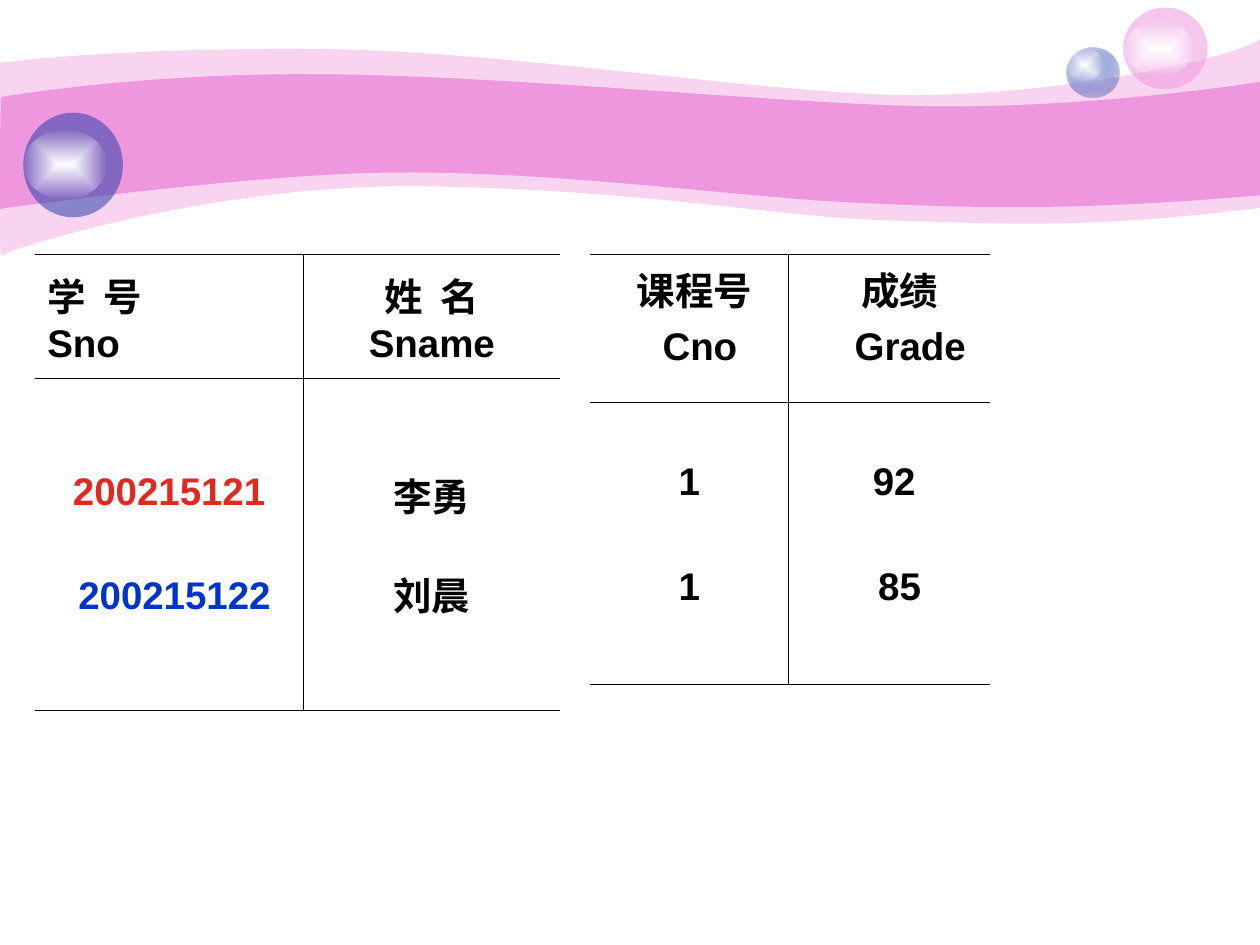
from lxml import etree
from pptx import Presentation
from pptx.dml.color import RGBColor
from pptx.enum.shapes import MSO_SHAPE
from pptx.enum.text import MSO_ANCHOR, PP_ALIGN
from pptx.oxml.ns import qn
from pptx.util import Emu, Inches, Pt

OVAL = MSO_SHAPE.OVAL
LEFT, MID = PP_ALIGN.LEFT, PP_ALIGN.CENTER
TOP, CENTER = MSO_ANCHOR.TOP, MSO_ANCHOR.MIDDLE

# Grid of 100 columns by 75 rows
COLS, ROWS = 100, 75
UNIT = Inches(0.1)
SPACE = 6.1  # width of one space, points
COLOR = {"pink": "EF97DE", "blue": "233DA9", "pale": "C7CEE9", "white": "FFFFFF",
         "ink": "000000", "red": "E02920", "link": "0033CC"}


def grid(n):
    return Emu(round(n * UNIT))


def add(parent, tag, **attrs):
    node = etree.SubElement(parent, qn(tag))
    for key, val in attrs.items():
        node.set(key, str(val))
    return node


def fade(node, alpha):
    add(node, "a:alpha", val=alpha * 1000)


def paint(shape, name, alpha=100):
    shape.shadow.inherit = False
    shape.line.fill.background()
    shape.fill.solid()
    shape.fill.fore_color.rgb = RGBColor.from_string(COLOR[name])
    if alpha < 100:
        fade(shape.fill._xPr.find(qn("a:solidFill"))[0], alpha)


def glow(shape, inner, outer, alpha):
    """Fill with a gradient from the centre out to a see-through edge."""
    paint(shape, inner)
    props = shape.fill._xPr
    solid = props.find(qn("a:solidFill"))
    grad = etree.Element(qn("a:gradFill"), rotWithShape="1")
    stops = add(grad, "a:gsLst")
    for pos, name, clear in ((0, inner, 100), (100, outer, alpha)):
        stop = add(stops, "a:gs", pos=pos * 1000)
        fade(add(stop, "a:srgbClr", val=COLOR[name]), clear)
    way = add(grad, "a:path")
    way.set("path", "rect")
    add(way, "a:fillToRect", l=50000, t=50000, r=50000, b=50000)
    props.replace(solid, grad)


def wave(slide, start, parts, alpha=100):
    """Band outlined by curves (three points) and lines (one point)."""
    pen = slide.shapes.build_freeform(*(grid(v) for v in start), scale=1.0)
    pen.add_line_segments([(grid(x), grid(y)) for part in parts for x, y in part], close=True)
    band = pen.convert_to_shape()
    lines = iter(list(band._element.iter(qn("a:lnTo"))))
    for part in parts:
        steps = [next(lines) for _ in part]
        if len(steps) == 3:
            bend = etree.Element(qn("a:cubicBezTo"))
            steps[0].addprevious(bend)
            for step in steps:
                bend.append(step[0])
                step.getparent().remove(step)
    paint(band, "pink", alpha)


def ball(slide, box, shine, name, alpha, core=None):
    """Ball with a highlight; shine is top, width and height as shares of the box."""
    x, y, w, h = box
    top, wide, high = shine
    shapes = slide.shapes.add_group_shape().shapes
    body = shapes.add_shape(OVAL, *map(grid, box))
    if core:
        glow(body, core, name, alpha)
    else:
        paint(body, name, alpha)
    spot = shapes.add_shape(OVAL, *map(grid, (x, y + top * h, wide * w, high * h)))
    glow(spot, "white", "white", 0)


def write(frame, text, first=False, color="ink", align=MID, before=0, shift=0, track=0):
    para = frame.paragraphs[0] if first else frame.add_paragraph()
    para.alignment = align
    para.space_before = Pt(0 if first else before)
    if shift:
        para._p.get_or_add_pPr().set("marL", str(Pt(shift * SPACE)))
    run = para.add_run()
    run.text = text
    font = run.font
    font.name, font.size, font.bold = "Arial", Pt(22), True
    font.color.rgb = RGBColor.from_string(COLOR[color])
    if track:
        run._r.get_or_add_rPr().set("spc", str(round(track * 100)))


def rule(cell, sides):
    props = cell._tc.get_or_add_tcPr()
    for side in "LRTB":
        line = add(props, f"a:ln{side}", w=Pt(0.45) if side in sides else 0)
        if side in sides:
            add(add(line, "a:solidFill"), "a:srgbClr", val=COLOR["ink"])
        else:
            add(line, "a:noFill")
    cell.fill.background()


def sheet(slide, box, cols, rows, data, anchor, drop=0.5):
    """Two by two table at box; cols and rows are relative sizes."""
    x, y, w, h = box
    table = slide.shapes.add_table(2, 2, *map(grid, box)).table
    table.first_row = table.horz_banding = False
    for i in range(2):
        table.columns[i].width = grid(w * cols[i] / sum(cols))
        table.rows[i].height = grid(h * rows[i] / sum(rows))
    for r, row in enumerate(data):
        for c, lines in enumerate(row):
            cell = table.cell(r, c)
            cell.vertical_anchor = anchor
            cell.margin_left = cell.margin_right = grid(1)
            cell.margin_top = grid(drop if r else 0.5)
            cell.margin_bottom = grid(0.5)
            rule(cell, "LTB" if c else "RTB")
            for i, (text, form) in enumerate(lines):
                write(cell.text_frame, text, first=i == 0, **form)


def backdrop(slide):
    # Pale band, then the solid band over it
    wave(slide, (-0.1, 5), [
        [(2.4, 4.7), (10.7, 3.8), (24.7, 3.9)], [(38.6, 3.9), (57.5, 7), (69.9, 7.5)],
        [(82.2, 8), (98, 4.7), (100, 3.1)], [(100, 16.5)],
        [(85.8, 18.3), (78.7, 17.7), (70.5, 17.5)], [(62.2, 17.3), (51.5, 15.1), (34.3, 14.8)],
        [(17.2, 14.4), (0.4, 19.9), (0.1, 20.3)], [(-0.1, 20.8), (0, 7.5), (-0.1, 5)]], 41)
    wave(slide, (0.1, 7.7), [
        [(0.2, 7.7), (11, 5.8), (24.8, 5.9)], [(38.6, 5.9), (59.5, 8), (71.8, 8.4)],
        [(84.1, 8.8), (97.6, 6.9), (100, 6.5)], [(100, 15.5)],
        [(85.3, 16.8), (76.5, 16.5), (68.2, 16.1)], [(59.9, 15.8), (44.7, 13.6), (31.7, 13.7)],
        [(20.3, 13.7), (-0.2, 16.6), (-0.1, 16.6)], [(0, 16.6), (0, 7.7), (0.1, 7.7)]])
    # Balls
    ball(slide, (84.65, 3.75, 4.2, 4), (0, 0.67, 0.67), "blue", 31, core="pale")
    ball(slide, (89.15, 0.6, 6.7, 6.5), (0.17, 0.84, 0.66), "pink", 53)
    ball(slide, (1.85, 8.95, 7.9, 8.3), (0.16, 0.84, 0.67), "blue", 53)


def main():
    deck = Presentation()
    deck.slide_width, deck.slide_height = grid(COLS), grid(ROWS)
    slide = deck.slides.add_slide(deck.slide_layouts[6])
    backdrop(slide)

    # Students
    sheet(slide, (2.75, 20.2, 41.7, 36.2), (2.14, 2.04), (0.98, 2.64), [
        [[("学 号", {"align": LEFT, "track": 2.5}), ("Sno", {"align": LEFT})],
         [("姓 名", {"track": 2.5}), ("Sname", {})]],
        [[("200215121", {"color": "red"}),
          ("200215122", {"color": "link", "before": 35, "shift": 1})],
         [("李勇", {}), ("刘晨", {"before": 25})]]], CENTER)

    # Grades
    sheet(slide, (46.85, 20.2, 31.7, 34.1), (1.57, 1.6), (1.17, 2.24), [
        [[("课程号", {"shift": 1}), ("Cno", {"before": 5.5, "shift": 2})],
         [("成绩", {"shift": 2}), ("Grade", {"before": 5.5, "shift": 4})]],
        [[("1", {}), ("1", {"before": 35})],
         [("92", {"shift": 1}), ("85", {"before": 35, "shift": 2})]]], TOP, drop=4.7)

    deck.save("out.pptx")


if __name__ == "__main__":
    main()
